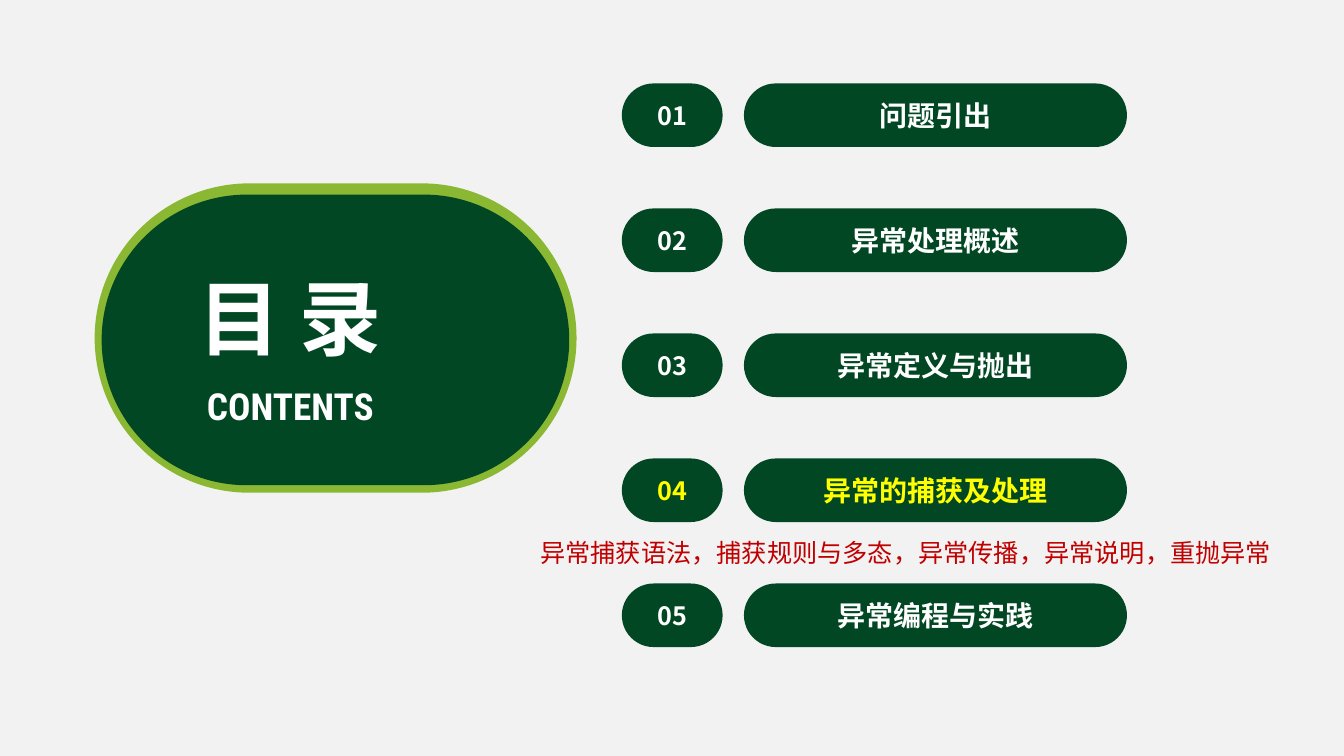
"""Build a contents slide with five numbered topics."""
from lxml import etree
from pptx import Presentation
from pptx.dml.color import RGBColor
from pptx.enum.shapes import MSO_SHAPE
from pptx.enum.text import MSO_ANCHOR, MSO_AUTO_SIZE, PP_ALIGN
from pptx.oxml.ns import qn
from pptx.util import Pt

PILL = MSO_SHAPE.ROUNDED_RECTANGLE
LEFT, CENTER = PP_ALIGN.LEFT, PP_ALIGN.CENTER
TOP, MIDDLE = MSO_ANCHOR.TOP, MSO_ANCHOR.MIDDLE
FIXED = MSO_AUTO_SIZE.NONE

COLORS = {"back": "F2F2F2", "dark": "014723", "lime": "8AB833",
          "white": "FFFFFF", "yellow": "FFFF00", "red": "C00000"}
SANS, NARROW = "Noto Sans CJK SC", "Roboto Condensed"

TOPICS = ["问题引出", "异常处理概述", "异常定义与抛出", "异常的捕获及处理", "异常编程与实践"]
ACTIVE = 4
FIRST_TOP, STEP, HEIGHT = 59.6, 89.3, 45.4


def color(name):
    """Return the named colour."""
    return RGBColor.from_string(COLORS[name])


class Deck:
    """Hold the style and the current slide."""

    def __init__(self):
        """Start a deck with one titled slide."""
        self.file = Presentation()
        self.file.slide_width, self.file.slide_height = Pt(960), Pt(540)
        self.slide = self.file.slides.add_slide(self.file.slide_layouts[5])
        fill = self.slide.background.fill
        fill.solid()
        fill.fore_color.rgb = color("back")

    def words(self, shape, text, size, tint="white", font=SANS, bold=True,
              align=CENTER, anchor=TOP, wrap=False):
        """Put one line of styled text in a shape."""
        frame = shape.text_frame
        form = {"word_wrap": wrap, "vertical_anchor": anchor, "auto_size": FIXED}
        for key, value in form.items():
            setattr(frame, key, value)
        line = frame.paragraphs[0]
        line.alignment = align
        run = line.add_run()
        run.text = text
        form = {"size": Pt(size), "bold": bold, "name": font}
        for key, value in form.items():
            setattr(run.font, key, value)
        run.font.color.rgb = color(tint)
        for props in shape.element.iter(qn("a:rPr")):
            etree.SubElement(props, qn("a:ea")).set("typeface", font)

    def pill(self, box, fill="dark"):
        """Add a fully rounded bar."""
        shape = self.slide.shapes.add_shape(PILL, *map(Pt, box))
        shape.adjustments[0] = 0.5
        shape.shadow.inherit = False
        shape.fill.solid()
        shape.fill.fore_color.rgb = color(fill)
        shape.line.fill.background()
        return shape

    def label(self, box, text, size, **style):
        """Add a text box."""
        self.words(self.slide.shapes.add_textbox(*map(Pt, box)), text, size, **style)

    def title(self, box, text, size):
        """Place the title in front of the shapes added so far."""
        shape = self.slide.shapes.title
        form = dict(zip(("left", "top", "width", "height"), map(Pt, box)))
        for key, value in form.items():
            setattr(shape, key, value)
        self.slide.shapes.element.append(shape.element)
        self.words(shape, text, size)

    def topic(self, index, text):
        """Add a number and its topic as a row."""
        top = FIRST_TOP + (index - 1) * STEP
        tint = "yellow" if index == ACTIVE else "white"
        cells = [(444.2, 72, f"{index:02}", 18), (531.4, 273.6, text, 20)]
        for left, width, name, size in cells:
            shape = self.pill((left, top, width, HEIGHT))
            self.words(shape, name, size, tint, anchor=MIDDLE, wrap=True)


def main():
    """Build and save the slide."""
    deck = Deck()
    deck.pill((67.6, 131, 344.2, 221), "lime")
    deck.pill((72.6, 139, 334, 207.6))
    for index, text in enumerate(TOPICS, 1):
        deck.topic(index, text)
    deck.label((126, 270, 162.8, 39.6), "CONTENTS", 26.6, font=NARROW)
    deck.title((131.8, 187.2, 150.4, 78.4), "目 录", 58.6)
    deck.label((378.8, 380.2, 541.4, 28.8),
               "异常捕获语法，捕获规则与多态，异常传播，异常说明，重抛异常",
               18, tint="red", bold=False, align=LEFT)
    deck.file.save("out.pptx")


if __name__ == "__main__":
    main()
